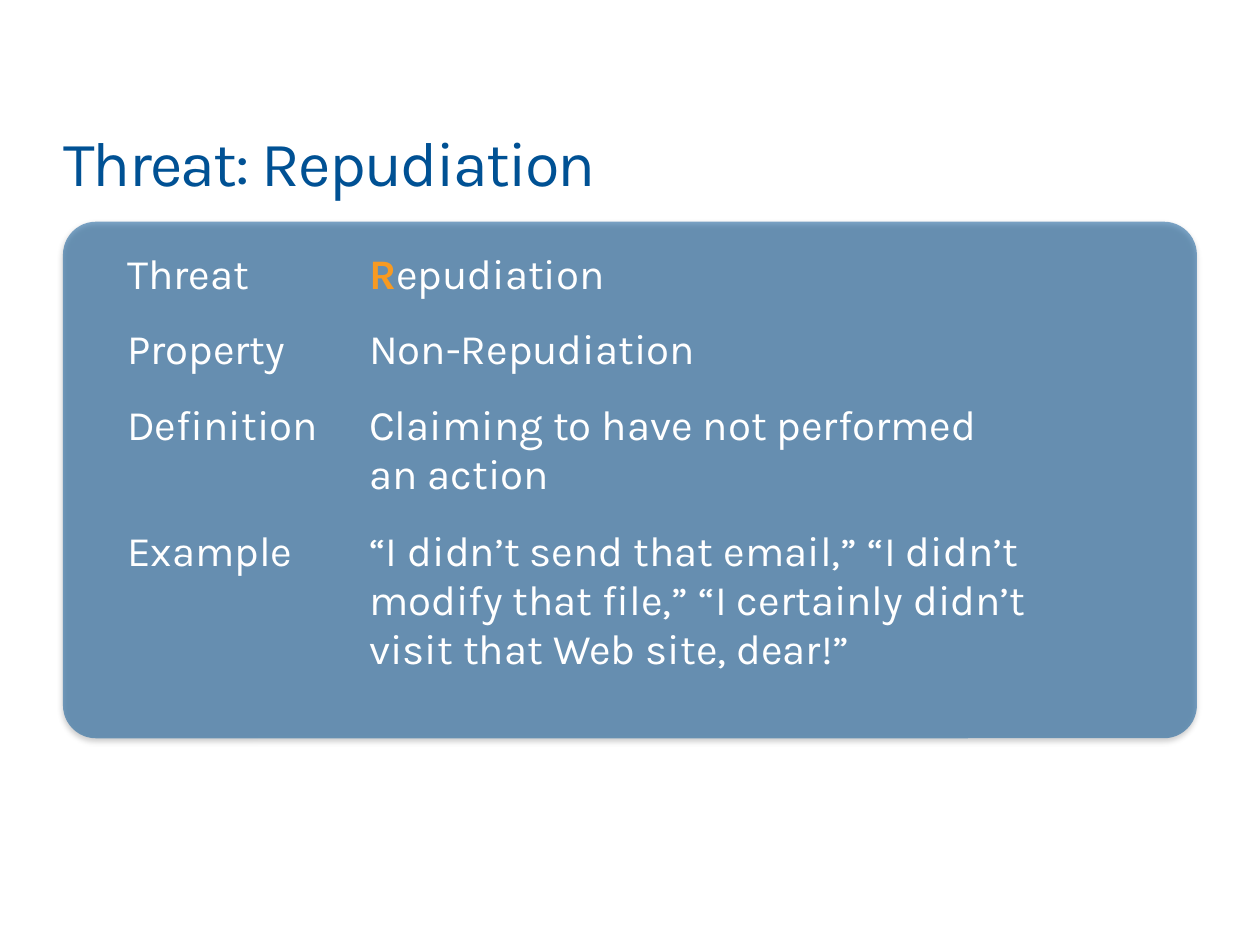
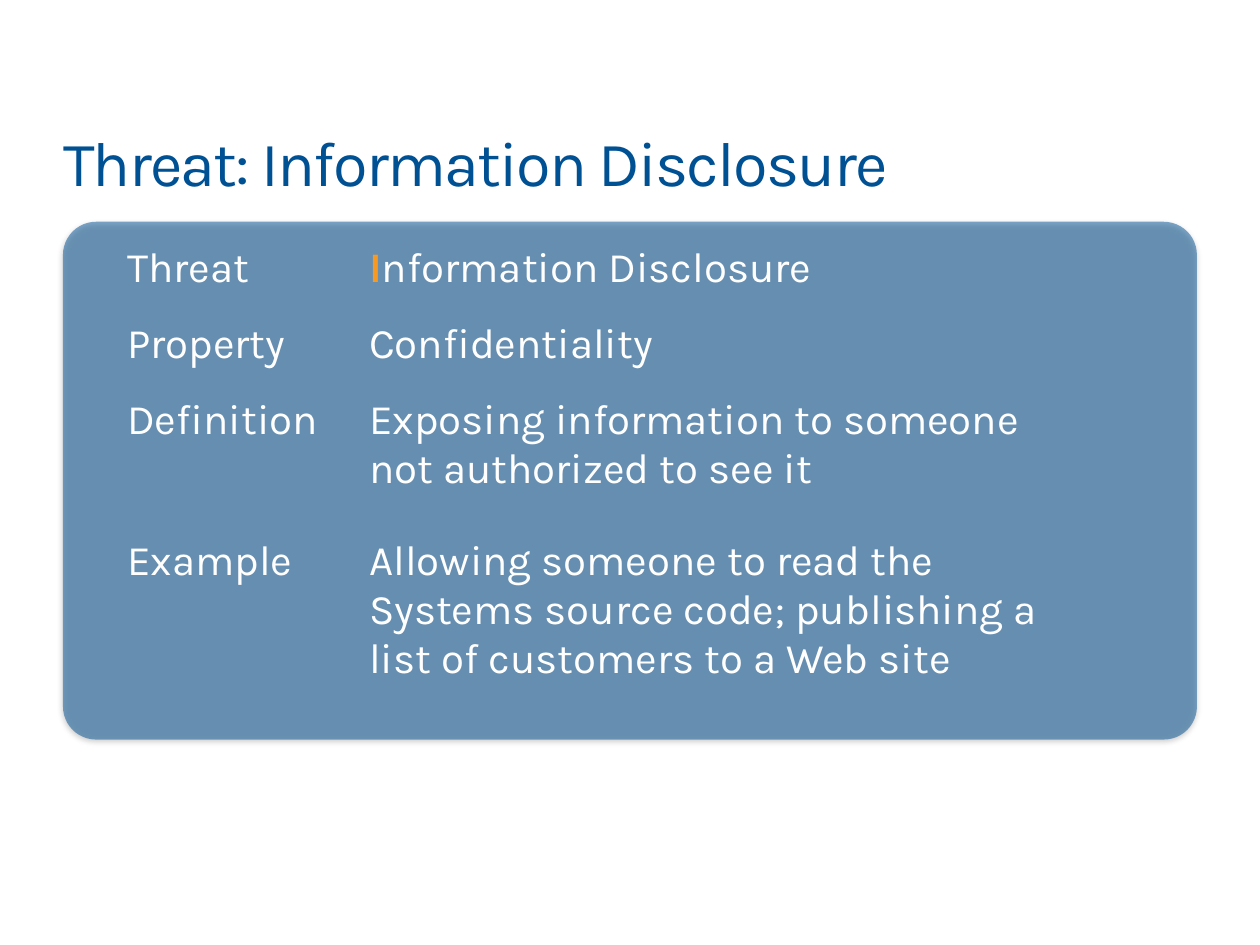
"""Build two slides that each sum up one security threat."""
from lxml.etree import SubElement as add_sub
from pptx import Presentation
from pptx.dml.color import RGBColor
from pptx.enum.shapes import MSO_SHAPE as Shape
from pptx.enum.text import MSO_ANCHOR as Anchor, MSO_AUTO_SIZE as Fit, PP_ALIGN as Align
from pptx.oxml.ns import qn
from pptx.util import Inches, Pt

BLUE = RGBColor(0x00, 0x51, 0x94)
ORANGE = RGBColor(0xF8, 0x9A, 0x21)
WHITE = RGBColor(0xFF, 0xFF, 0xFF)
FONT = "Karla"
NO_STYLE = "{2D5ABB26-0587-4C30-8999-92F81FD0307C}"

LABELS = ("Threat", "Property", "Definition", "Example")
COLS = (1.92, 5.57)
SLIDES = [
    {
        "facts": (
            "Repudiation",
            "Non-Repudiation",
            "Claiming to have not performed\van action",
            "“I didn’t send that email,” “I didn’t modify that file,” "
            "“I certainly didn’t visit that Web site, dear!”",
        ),
        "rows": (0.59, 0.59, 0.98, 1.58),
        "pad": 0.1,
        "panel": 4.1,
    },
    {
        "facts": (
            "Information Disclosure",
            "Confidentiality",
            "Exposing information to someone not authorized to see it",
            "Allowing someone to read the Systems source code; "
            "publishing a list of customers to a Web site",
        ),
        "rows": (0.6, 0.6, 1.12, 1.92),
        "pad": 0.05,
        "panel": 4.11,
    },
]


def style(run, size, color, bold=False):
    font = run.font
    font.name, font.size, font.bold = FONT, Pt(size), bold
    font.color.rgb = color


def add_title(slide, text):
    title = slide.shapes.title
    title.left, title.top, title.width, title.height = map(Inches, (0.5, 0.98, 9.01, 0.61))
    frame = title.text_frame
    frame.text = text
    frame.margin_left = frame.margin_right = frame.margin_top = frame.margin_bottom = 0
    frame.vertical_anchor = Anchor.TOP
    frame.auto_size = Fit.SHAPE_TO_FIT_TEXT
    line = frame.paragraphs[0]
    line.alignment = Align.LEFT
    run = line.runs[0]
    style(run, 36, BLUE)
    run.font._element.set("spc", "-100")


def add_panel(slide, height):
    panel = slide.shapes.add_shape(
        Shape.ROUNDED_RECTANGLE, Inches(0.5), Inches(1.76), Inches(9), Inches(height))
    panel.adjustments[0] = 0.064
    panel.fill.solid()
    panel.fill.fore_color.rgb = BLUE
    panel.line.fill.background()
    panel.shadow.inherit = False
    props = panel.element.spPr
    tint = props.find(qn("a:solidFill")).find(qn("a:srgbClr"))
    add_sub(tint, qn("a:alpha"), val="50000")
    shade = add_sub(props.find(qn("a:effectLst")), qn("a:outerShdw"),
                    blurRad=str(Pt(3.1)), dist=str(Pt(1.6)), dir="5400000", rotWithShape="0")
    black = add_sub(shade, qn("a:srgbClr"), val="000000")
    add_sub(black, qn("a:alpha"), val="38000")


def fill_cell(cell, text, pad, accent):
    cell.fill.background()
    cell.margin_left = cell.margin_right = Inches(0.1)
    cell.margin_top = cell.margin_bottom = Inches(pad)
    line = cell.text_frame.paragraphs[0]
    if accent:
        style_first = line.add_run()
        style_first.text = text[0]
        style(style_first, 24, ORANGE, True)
        rest = line.add_run()
        rest.text = text[1:]
        style(rest, 24, WHITE)
    else:
        line.text = text
        for run in line.runs:
            style(run, 24, WHITE)


def add_facts(slide, facts, rows, pad):
    frame = slide.shapes.add_table(
        len(LABELS), len(COLS), Inches(0.91), Inches(1.89), Inches(sum(COLS)), Inches(sum(rows)))
    table = frame.table
    table.first_row = table.horz_banding = False
    for name in frame.element.iter(qn("a:tableStyleId")):
        name.text = NO_STYLE
    for col, width in zip(table.columns, COLS):
        col.width = Inches(width)
    for i, pair in enumerate(zip(LABELS, facts)):
        table.rows[i].height = Inches(rows[i])
        for j, text in enumerate(pair):
            fill_cell(table.cell(i, j), text, pad, accent=(i, j) == (0, 1))


def main():
    deck = Presentation()
    deck.slide_width, deck.slide_height = Inches(10), Inches(7.5)
    for item in SLIDES:
        slide = deck.slides.add_slide(deck.slide_layouts[5])
        add_panel(slide, item["panel"])
        add_title(slide, "Threat: " + item["facts"][0])
        add_facts(slide, item["facts"], item["rows"], item["pad"])
    deck.save("out.pptx")


if __name__ == "__main__":
    main()
